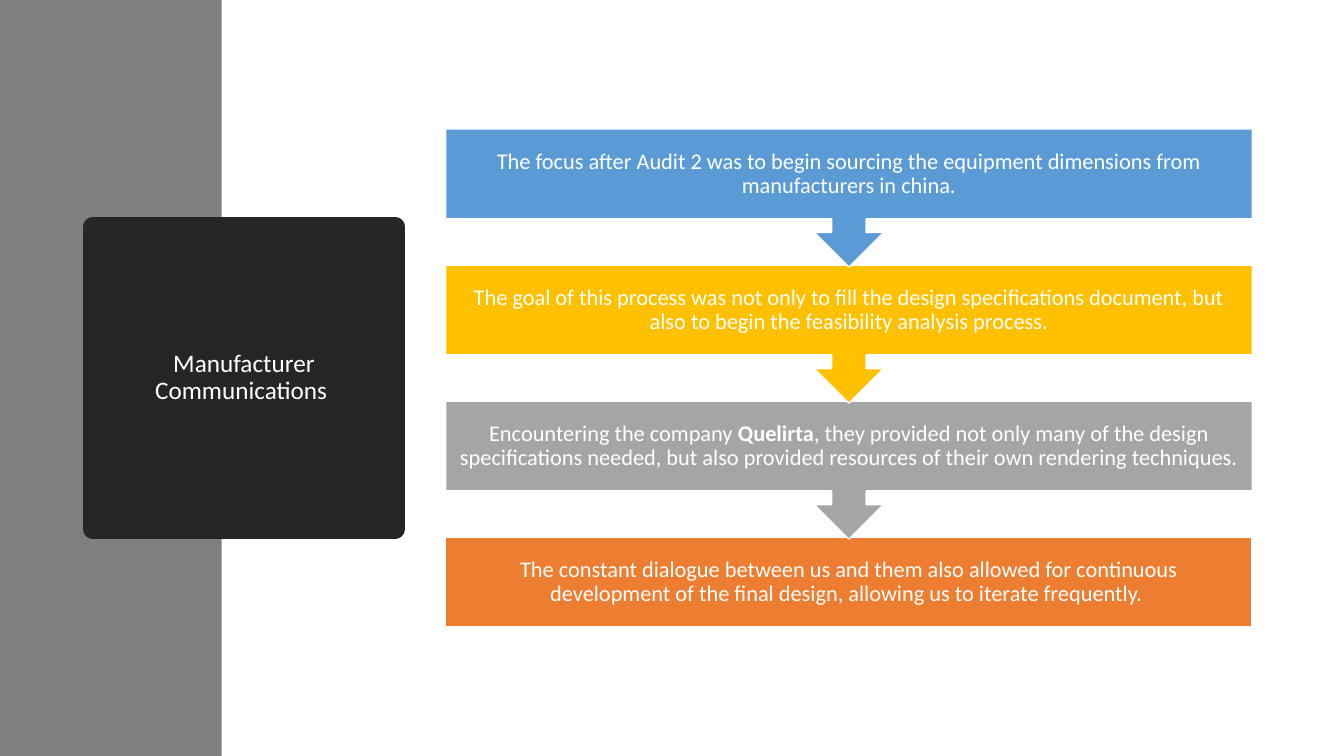
from lxml import etree
from pptx import Presentation
from pptx.dml.color import RGBColor
from pptx.enum.shapes import MSO_SHAPE
from pptx.enum.text import MSO_ANCHOR, PP_ALIGN
from pptx.oxml.ns import qn
from pptx.util import Inches, Pt

COLORS = {
    "band": "7F7F7F",
    "title": "262626",
    "white": "FFFFFF",
    "blue": "5B9BD5",
    "gold": "FFC000",
    "gray": "A5A5A5",
    "orange": "ED7D31",
}
FONT = "Calibri"
BOX_SHARE = 0.65  # part of a callout's height taken by its box

# Each step: colour, then runs of (text, bold)
STEPS = [
    ("blue", [("The focus after Audit 2 was to begin sourcing the equipment "
               "dimensions from manufacturers in china.", False)]),
    ("gold", [("The goal of this process was not only to fill the design "
               "specifications document, but also to begin the feasibility "
               "analysis process.", False)]),
    ("gray", [("Encountering the company ", False),
              ("Quelirta", True),
              (", they provided not only many of the design specifications "
               "needed, but also provided resources of their own rendering "
               "techniques.", False)]),
    ("orange", [("The constant dialogue between us and them also allowed for "
                 "continuous development of the final design, allowing us to "
                 "iterate frequently. ", False)]),
]


def color(name):
    return RGBColor.from_string(COLORS[name])


def add_filled_shape(slide, preset, left, top, width, height, fill,
                     line=None, line_width=1):
    shape = slide.shapes.add_shape(preset, Inches(left), Inches(top),
                                   Inches(width), Inches(height))
    shape.shadow.inherit = False
    shape.fill.solid()
    shape.fill.fore_color.rgb = color(fill)
    if line is None:
        shape.line.fill.background()
    else:
        shape.line.color.rgb = color(line)
        shape.line.width = Pt(line_width)
    return shape


def write_centered(shape, runs, size, margin):
    frame = shape.text_frame
    frame.word_wrap = True
    frame.vertical_anchor = MSO_ANCHOR.MIDDLE
    frame.margin_left = frame.margin_right = Inches(margin)
    frame.margin_top = frame.margin_bottom = Inches(margin)
    paragraph = frame.paragraphs[0]
    paragraph.alignment = PP_ALIGN.CENTER
    paragraph.line_spacing = 0.9
    for text, bold in runs:
        run = paragraph.add_run()
        run.text = text
        run.font.name = FONT
        run.font.size = Pt(size)
        run.font.bold = bold
        run.font.color.rgb = color("white")


def add_title(slide, left, top, width, height):
    """Dark square whose thick outline has round corners."""
    shape = add_filled_shape(slide, MSO_SHAPE.RECTANGLE, left, top, width,
                             height, "title", "title", 13.75)
    etree.SubElement(shape.line._get_or_add_ln(), qn("a:round"))
    write_centered(shape, [("Manufacturer Communications ", False)], 18, 0.1)


def add_process(slide, left, top, width, height):
    """Stack of steps, each pointing to the next; the last has no arrow."""
    callout_height = 1.37
    box_height = 0.89
    pitch = (height - box_height) / (len(STEPS) - 1)
    last = len(STEPS) - 1
    # Lower steps go first so that each arrow tip lies over the next box
    for index in range(last, -1, -1):
        fill, runs = STEPS[index]
        step_top = top + index * pitch
        if index == last:
            shape = add_filled_shape(slide, MSO_SHAPE.RECTANGLE, left, step_top,
                                     width, box_height, fill, "white")
        else:
            shape = add_filled_shape(slide, MSO_SHAPE.DOWN_ARROW_CALLOUT, left,
                                     step_top, width, callout_height, fill,
                                     "white")
            shape.adjustments[3] = BOX_SHARE
        write_centered(shape, runs, 16, 0.12)


def main():
    presentation = Presentation()
    presentation.slide_width = Inches(13.33)
    presentation.slide_height = Inches(7.5)
    slide = presentation.slides.add_slide(presentation.slide_layouts[6])
    add_filled_shape(slide, MSO_SHAPE.RECTANGLE, 0, 0, 2.2, 7.5, "band")
    add_title(slide, 0.92, 2.25, 3, 3)
    add_process(slide, 4.42, 1.28, 8, 4.94)
    presentation.save("out.pptx")


if __name__ == "__main__":
    main()
